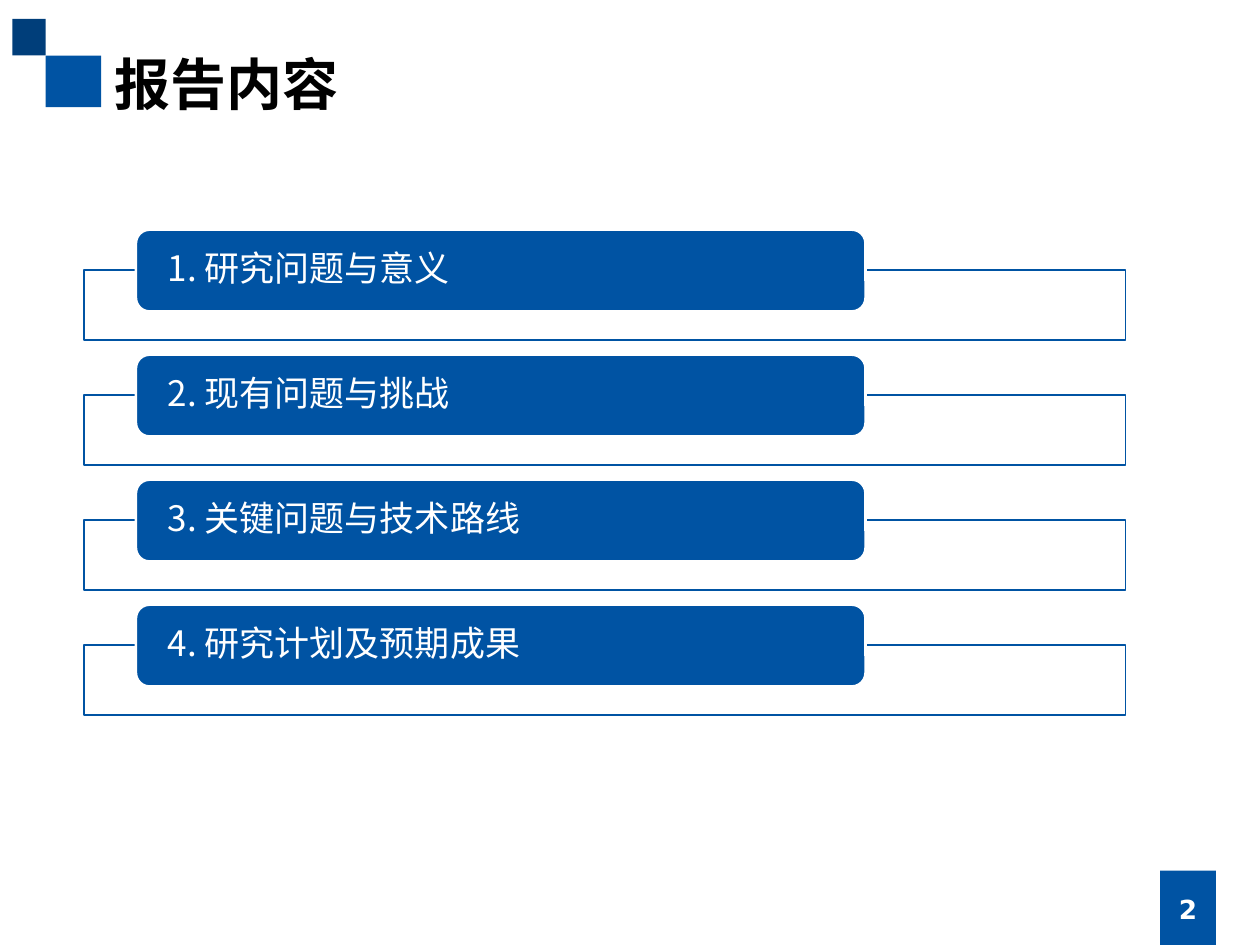
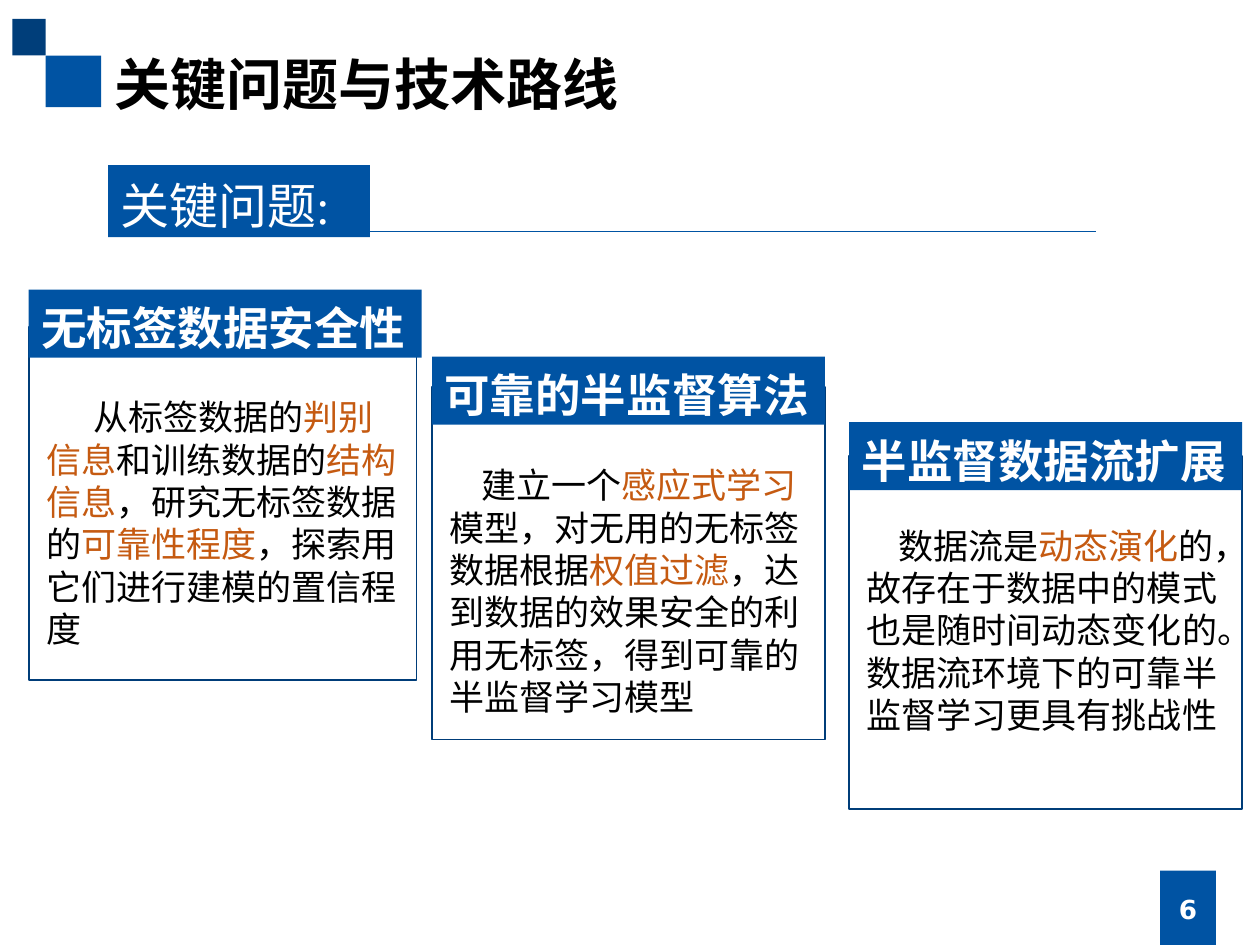
from pptx import Presentation
from pptx.dml.color import RGBColor
from pptx.enum.shapes import MSO_CONNECTOR, MSO_SHAPE
from pptx.enum.text import MSO_ANCHOR, PP_ALIGN
from pptx.oxml.ns import qn
from pptx.util import Cm, Pt
from lxml.etree import SubElement

# Shared colours and fonts
BLUE, NAVY, FRAME_BLUE = "0053A3", "003E7A", "003D79"
WHITE, BLACK, ORANGE = "FFFFFF", "000000", "C55A11"
SERIF, SANS, CHINESE = "Times New Roman", "DejaVu Sans", "Noto Sans CJK SC"
LINE_RATIO = 1.21

AGENDA = ["1. 研究问题与意义", "2. 现有问题与挑战", "3. 关键问题与技术路线", "4. 研究计划及预期成果"]

# Heading, left, heading top, frame top, text top, frame width, indent, text parts;
# every second text part is highlighted
CARDS = [
    ("无标签数据安全性", 0.58, 5.84, 6.6, 7.77, 7.82, 0.95,
     ["从标签数据的", "判别信息", "和训练数据的", "结构信息", "，研究无标签数据的",
      "可靠性程度", "，探索用它们进行建模的置信程度"]),
    ("可靠的半监督算法", 8.71, 7.19, 7.8, 9.14, 7.92, 0.64,
     ["建立一个", "感应式学习", "模型，对无用的无标签数据根据", "权值过滤",
      "，达到数据的效果安全的利用无标签，得到可靠的半监督学习模型"]),
    ("半监督数据流扩展", 17.12, 8.51, 9.2, 10.36, 7.92, 0.64,
     ["数据流是", "动态演化",
      "的，故存在于数据中的模式也是随时间动态变化的。数据流环境下的可靠半监督学习更具有挑战性"]),
]


def color(hex_string):
    return RGBColor.from_string(hex_string)


def format_run(run, size, font, hex_string, bold=False):
    run.font.size = Pt(size)
    run.font.name = font
    run.font.bold = bold
    run.font.color.rgb = color(hex_string)
    east_asian = SubElement(run._r.get_or_add_rPr(), qn("a:ea"))
    east_asian.set("typeface", CHINESE)


def write(shape, parts, size, font, colors, bold=False):
    """Write one top-anchored paragraph, cycling through the colours."""
    text_frame = shape.text_frame
    text_frame.word_wrap = True
    text_frame.vertical_anchor = MSO_ANCHOR.TOP
    text_frame.margin_top = Cm(0.2)
    paragraph = text_frame.paragraphs[0]
    paragraph.alignment = PP_ALIGN.LEFT
    paragraph.line_spacing = Pt(round(size * LINE_RATIO, 1))
    for index, part in enumerate(parts):
        run = paragraph.add_run()
        run.text = part
        format_run(run, size, font, colors[index % len(colors)], bold)
    return paragraph


def add_box(slide, left, top, width, height, fill=None, line=None, line_width=1,
            kind=MSO_SHAPE.RECTANGLE):
    shape = slide.shapes.add_shape(kind, Cm(left), Cm(top), Cm(width), Cm(height))
    shape.shadow.inherit = False
    if fill:
        shape.fill.solid()
        shape.fill.fore_color.rgb = color(fill)
    else:
        shape.fill.background()
    if line:
        shape.line.color.rgb = color(line)
        shape.line.width = Pt(line_width)
    else:
        shape.line.fill.background()
    return shape


def add_text_box(slide, left, top, width, height):
    return slide.shapes.add_textbox(Cm(left), Cm(top), Cm(width), Cm(height))


def add_rule(slide, left, right, top):
    line = slide.shapes.add_connector(
        MSO_CONNECTOR.STRAIGHT, Cm(left), Cm(top), Cm(right), Cm(top))
    line.line.color.rgb = color(BLUE)
    line.line.width = Pt(0.5)
    SubElement(line._element.spPr, qn("a:effectLst"))


def decorate_layout(slide):
    """Move the shared squares to the layout, so that every slide shows them."""
    layout_tree = slide.slide_layout.shapes.element
    for box in [(0.92, 1.12, 1.12, 1.04, BLUE),
                (0.25, 0.38, 0.67, 0.74, NAVY),
                (23.39, 17.55, 1.12, 1.5, BLUE)]:
        layout_tree.append(add_box(slide, *box).element)


def add_slide(presentation, title, number):
    slide = presentation.slides.add_slide(presentation.slide_layouts[5])
    # Title
    heading = slide.shapes.title
    heading.left, heading.top = Cm(2.06), Cm(0.79)
    heading.width, heading.height = Cm(20.5), Cm(1.63)
    write(heading, [title], 32, SERIF, [BLACK], bold=True)
    # Page number
    page = add_text_box(slide, 22.5, 17.81, 2.9, 1.02)
    page.text_frame.text = str(number)
    page.text_frame.word_wrap = True
    page.text_frame.vertical_anchor = MSO_ANCHOR.MIDDLE
    paragraph = page.text_frame.paragraphs[0]
    paragraph.alignment = PP_ALIGN.CENTER
    format_run(paragraph.runs[0], 15, SANS, WHITE, bold=True)
    return slide


def add_agenda_item(slide, text, top):
    add_box(slide, 1.69, top + 0.82, 21, 1.4, WHITE, BLUE)
    bar = add_box(slide, 2.74, top, 14.71, 1.65, BLUE, WHITE, 1.5,
                  MSO_SHAPE.ROUNDED_RECTANGLE)
    text_frame = bar.text_frame
    text_frame.text = text
    text_frame.vertical_anchor = MSO_ANCHOR.MIDDLE
    text_frame.margin_left = text_frame.margin_right = Cm(0.56)
    text_frame.margin_top = text_frame.margin_bottom = 0
    paragraph = text_frame.paragraphs[0]
    paragraph.alignment = PP_ALIGN.LEFT
    paragraph.line_spacing = 0.9
    format_run(paragraph.runs[0], 20, CHINESE, WHITE)


def add_card(slide, heading, left, top, frame_top, text_top, width, indent, parts):
    add_box(slide, left, frame_top, width, 7.11, line=FRAME_BLUE)
    label = add_box(slide, left, top, 7.92, 1.37, BLUE)
    write(label, [heading], 26, SERIF, [WHITE], bold=True)
    body = add_text_box(slide, left + 0.1, text_top, 7.75, 5.38)
    paragraph = write(body, parts, 20, SANS, [BLACK, ORANGE])
    paragraph._p.get_or_add_pPr().set("indent", str(Cm(indent)))


def main():
    presentation = Presentation()
    presentation.slide_width, presentation.slide_height = Cm(25.4), Cm(19.05)

    # Agenda
    agenda = add_slide(presentation, "报告内容", 2)
    decorate_layout(agenda)
    for index, text in enumerate(AGENDA):
        add_agenda_item(agenda, text, 4.63 + 2.52 * index)

    # Key problems
    problems = add_slide(presentation, "关键问题与技术路线", 6)
    label = add_box(problems, 2.18, 3.33, 5.28, 1.45, BLUE)
    write(label, ["关键问题:"], 28, SERIF, [WHITE])
    add_rule(problems, 6.1, 22.1, 4.67)
    for card in CARDS:
        add_card(problems, *card)

    presentation.save("out.pptx")


main()
